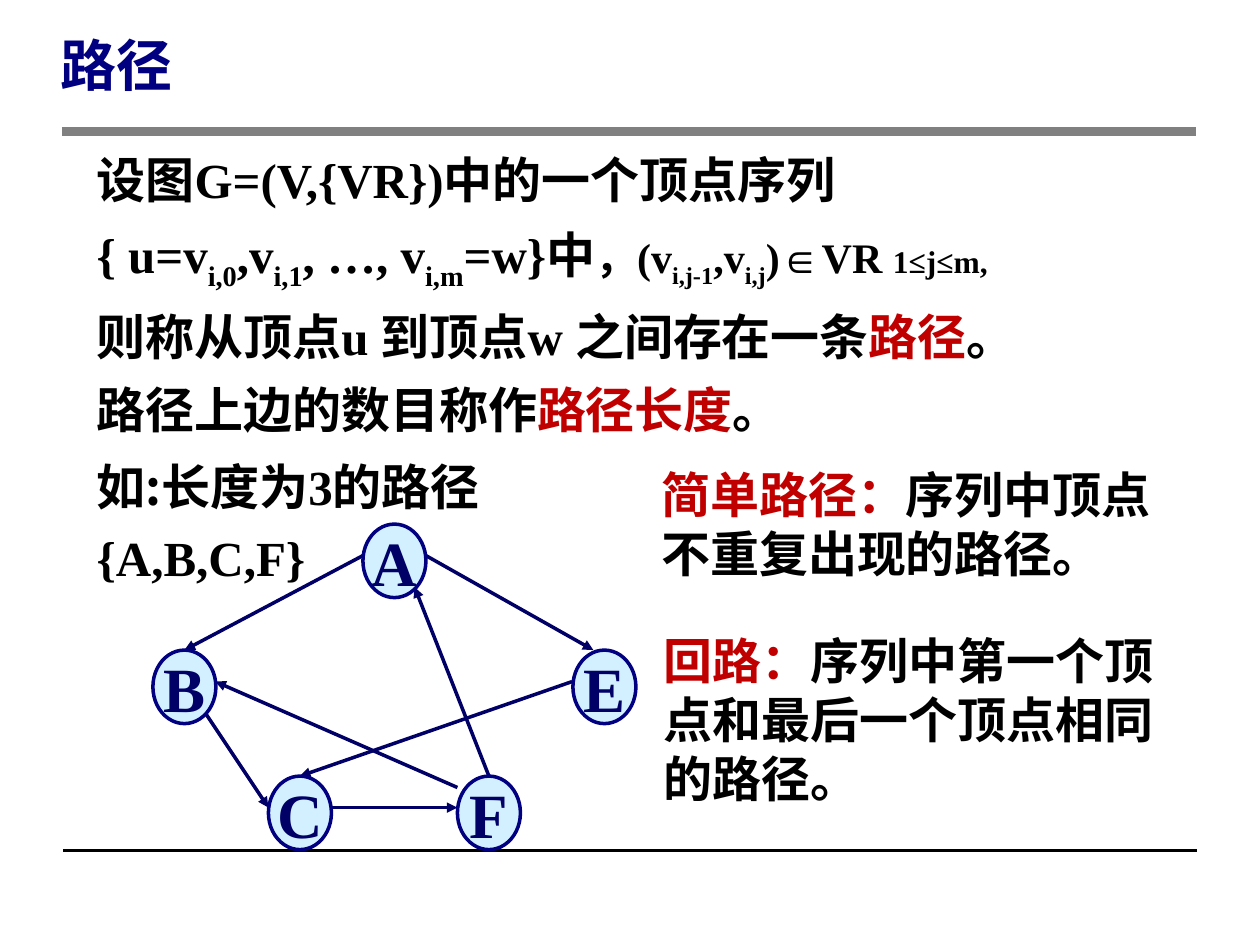
from lxml import etree
from pptx import Presentation
from pptx.dml.color import RGBColor
from pptx.enum import shapes, text
from pptx.oxml import ns
from pptx.util import Pt

BLACK = RGBColor(0x00, 0x00, 0x00)
GRAY = RGBColor(0x80, 0x80, 0x80)
RED = RGBColor(0xC0, 0x00, 0x00)
NAVY = RGBColor(0x00, 0x00, 0x80)
DARK_NAVY = RGBColor(0x00, 0x00, 0x66)
SKY = RGBColor(0xA7, 0xE2, 0xFF)

LATIN = "Times New Roman"
CHINESE = "Noto Sans CJK SC"


def write_text(frame, paragraphs, size=28, color=BLACK, font=CHINESE, wrap=True,
               align=None, anchor=text.MSO_ANCHOR.TOP, line_spacing=None):
    """Fill a frame; each run is (text, overrides of size, color, font or sub)."""
    frame.word_wrap = wrap
    frame.vertical_anchor = anchor
    for index, runs in enumerate(paragraphs):
        paragraph = frame.add_paragraph() if index else frame.paragraphs[0]
        paragraph.alignment = align
        paragraph.line_spacing = line_spacing
        for content, changes in runs:
            run = paragraph.add_run()
            run.text = content
            run.font.size = Pt(changes.get("size", size))
            run.font.bold = True
            run.font.color.rgb = changes.get("color", color)
            run.font.name = changes.get("font", font)
            properties = run._r.get_or_add_rPr()
            east_asian = etree.SubElement(properties, ns.qn("a:ea"))
            east_asian.set("typeface", CHINESE)
            if changes.get("sub"):
                properties.set("baseline", "-25000")


def add_line(start, end, color, width, arrow=False):
    line = slide.shapes.add_connector(
        shapes.MSO_CONNECTOR.STRAIGHT, *[Pt(value) for value in start + end])
    line.line.color.rgb = color
    line.line.width = Pt(width)
    if arrow:
        tail = etree.SubElement(line.line._get_or_add_ln(), ns.qn("a:tailEnd"))
        tail.set("type", "triangle")
    etree.SubElement(line._element.spPr, ns.qn("a:effectLst"))
    return line


presentation = Presentation()
presentation.slide_width, presentation.slide_height = Pt(720), Pt(540)
slide = presentation.slides.add_slide(presentation.slide_layouts[6])

# Rules above and below the content
add_line((36, 486), (684, 486), BLACK, 2)
add_line((35.3, 75), (683.3, 75), GRAY, 5)

# Title and text blocks
times, small = {"font": LATIN}, {"font": LATIN, "size": 24}
times_sub, small_sub = {**times, "sub": True}, {**small, "sub": True}
red = {"color": RED}

definition = [
    [("设图G=(V,{VR})中的一个顶点序列", times)],
    [("{ u=v", times), ("i,0", times_sub), (",v", times), ("i,1", times_sub),
     (", …, v", times), ("i,m", times_sub), ("=w}中", times),
     ("，(v", small), ("i,j-1", small_sub), (",v", small), ("i,j", small_sub),
     (")∈VR ", small), ("1≤j≤m,", {"font": LATIN, "size": 18})],
    [("则称从顶点", {}), ("u ", times), ("到顶点", {}), ("w ", times),
     ("之间存在一条", {}), ("路径", red), ("。", {})],
    [("路径上边的数目称作", {}), ("路径长度", red), ("。", {})],
]
example = [[("如:长度为", {}), ("3", times), ("的路径", {}), ("{A,B,C,F}", times)]]
simple_path = [[("简单路径：", red), ("序列中顶点不重复出现的路径。", {})]]
circuit = [[("回路：", red), ("序列中第一个顶点和最后一个顶点相同的路径。", {})]]

text_blocks = [
    ((27.4, 12.2, 108, 46.8), [[("路径", {})]],
     dict(size=32, color=NAVY, line_spacing=Pt(40), anchor=text.MSO_ANCHOR.MIDDLE)),
    ((48.2, 73.4, 630, 177), definition,
     dict(align=text.PP_ALIGN.JUSTIFY, line_spacing=1.25)),
    ((48.2, 250.6, 337, 85), example, dict(line_spacing=1.2)),
    ((370.8, 262, 318.2, 75), simple_path, {}),
    ((372.2, 357, 305.3, 108.7), circuit, {}),
]
for box, paragraphs, options in text_blocks:
    block = slide.shapes.add_textbox(*[Pt(value) for value in box])
    write_text(block.text_frame, paragraphs, **options)

# Directed graph: edges first, so that vertices lie over them
edges = {
    "AB": ((207.4, 317.5), (105.4, 371.5)),
    "BC": ((117.4, 407.5), (153.4, 461.5)),
    "CF": ((189.4, 461.5), (261.4, 461.5)),
    "FA": ((279.4, 443.5), (236.9, 335.5)),
    "AE": ((243.4, 317.5), (339.1, 371.5)),
    "FB": ((261.4, 450), (123.1, 389.5)),
    "EC": ((326.9, 389.5), (171.4, 443.5)),
}
arrows = {name: add_line(start, end, DARK_NAVY, 2, arrow=True)
          for name, (start, end) in edges.items()}

vertices = {"A": (207.4, 299.5), "B": (87.4, 371.5), "E": (327.4, 371.5),
            "C": (153.4, 443.5), "F": (261.4, 443.5)}
ellipses = {}
for name, (left, top) in vertices.items():
    ellipse = slide.shapes.add_shape(
        shapes.MSO_SHAPE.OVAL, Pt(left), Pt(top), Pt(36), Pt(42))
    ellipse.shadow.inherit = False
    ellipse.fill.solid()
    ellipse.fill.fore_color.rgb = SKY
    fill_color = ellipse._element.spPr.find(".//" + ns.qn("a:srgbClr"))
    etree.SubElement(fill_color, ns.qn("a:alpha")).set("val", "50000")
    ellipse.line.color.rgb = NAVY
    ellipse.line.width = Pt(2)
    write_text(ellipse.text_frame, [[(name, {})]], size=36, color=DARK_NAVY,
               font=LATIN, wrap=False, align=text.PP_ALIGN.CENTER,
               anchor=text.MSO_ANCHOR.MIDDLE)
    ellipses[name] = ellipse

# Join the edges that meet a vertex at its top
arrows["AB"].end_connect(ellipses["B"], 0)
arrows["EC"].end_connect(ellipses["C"], 0)
arrows["FA"].begin_connect(ellipses["F"], 0)

presentation.save("out.pptx")
